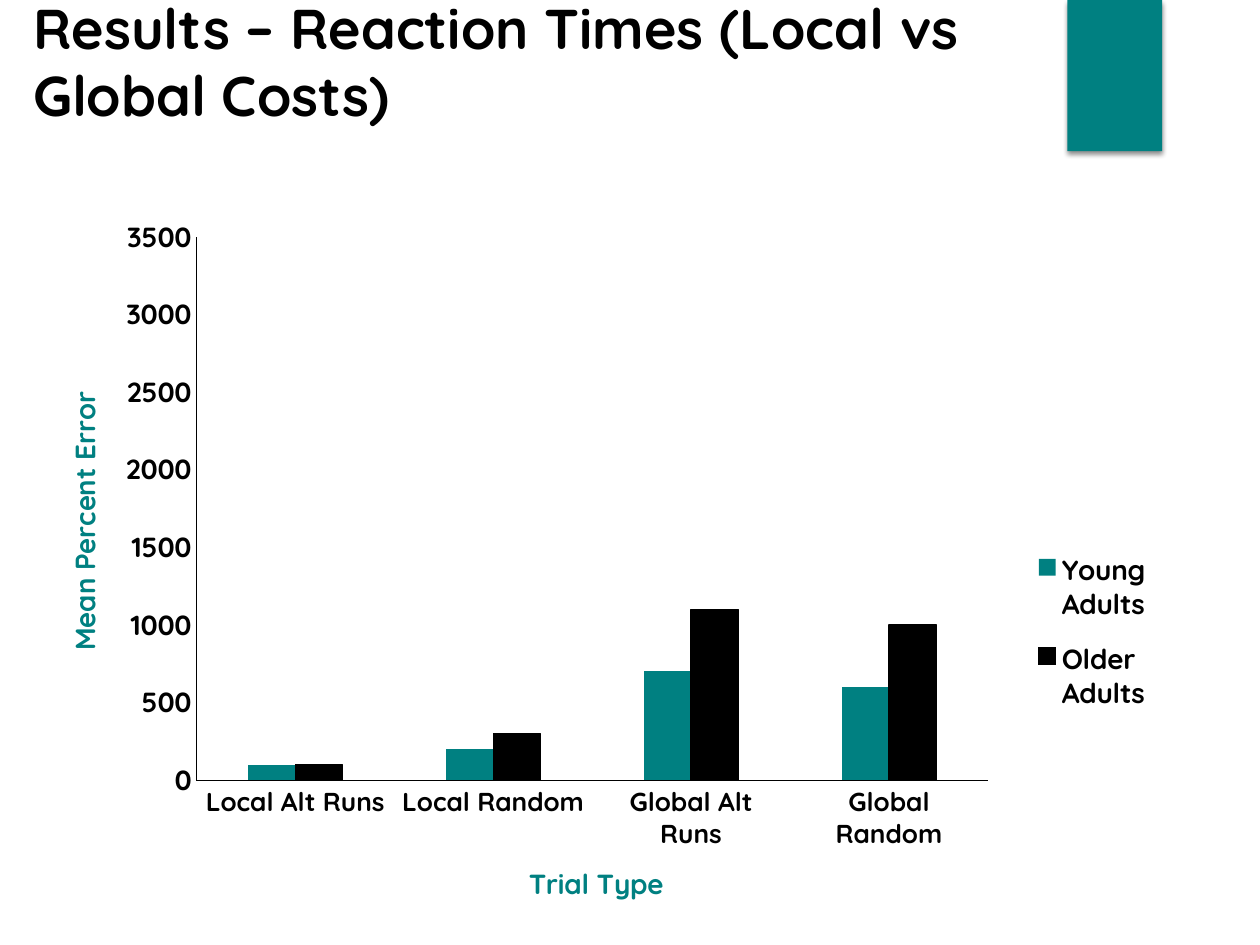
from pptx import Presentation
from pptx.chart.data import CategoryChartData
from pptx.dml.color import RGBColor
from pptx.enum.chart import XL_CHART_TYPE, XL_LEGEND_POSITION, XL_TICK_MARK
from pptx.enum.shapes import MSO_SHAPE
from pptx.enum.text import MSO_ANCHOR, MSO_AUTO_SIZE, PP_ALIGN
from pptx.oxml import parse_xml
from pptx.oxml.ns import nsdecls
from pptx.util import Cm, Pt

COLORS = {"teal": "008081", "black": "000000"}
FONT = "Quicksand"
CATEGORIES = ["Local Alt Runs", "Local Random", "Global Alt Runs", "Global Random"]
SERIES = [
    ("Young Adults", [100, 200, 700, 600], "teal"),
    ("Older Adults", [100, 300, 1100, 1000], "black"),
]


def color(name):
    return RGBColor.from_string(COLORS[name])


def set_values(target, values):
    for name, value in values.items():
        setattr(target, name, value)


def format_font(font, size, color_name="black", bold=True):
    set_values(font, {"name": FONT, "size": Pt(size), "bold": bold})
    font.color.rgb = color(color_name)


def format_line(line):
    line.color.rgb = color("black")
    line.width = Pt(0.75)


def place_part(parent, index, fractions, inner=False):
    for old in parent.xpath("c:layout"):
        parent.remove(old)
    target = '<c:layoutTarget val="inner"/>' if inner else ""
    modes = "".join(f'<c:{axis}Mode val="edge"/>' for axis in "xy")
    sizes = "".join(
        f'<c:{key} val="{value}"/>' for key, value in zip("xywh", fractions)
    )
    parent.insert(index, parse_xml(
        f'<c:layout {nsdecls("c")}><c:manualLayout>{target}{modes}{sizes}'
        "</c:manualLayout></c:layout>"
    ))


def add_title(slide, text):
    title = slide.shapes.title
    set_values(title, {
        "left": Cm(0.42), "top": Cm(0.23), "width": Cm(20.12), "height": Cm(1.98),
    })
    set_values(title.text_frame, {
        "text": text, "word_wrap": True,
        "auto_size": MSO_AUTO_SIZE.NONE, "vertical_anchor": MSO_ANCHOR.MIDDLE,
    })
    para = title.text_frame.paragraphs[0]
    set_values(para, {"alignment": PP_ALIGN.LEFT, "line_spacing": 1.0})
    format_font(para.runs[0].font, 32)


def add_accent(slide):
    box = slide.shapes.add_shape(
        MSO_SHAPE.RECTANGLE, Cm(21.52), Cm(0), Cm(1.91), Cm(3.05)
    )
    box.fill.solid()
    box.fill.fore_color.rgb = color("teal")
    box.line.fill.background()
    box.shadow.inherit = False
    effects = box.element.spPr.xpath("a:effectLst")[0]
    effects.append(parse_xml(
        f'<a:outerShdw {nsdecls("a")} blurRad="{Pt(3)}" dist="{Pt(2)}" '
        f'dir="5400000" rotWithShape="0"><a:srgbClr val="{COLORS["black"]}">'
        '<a:alpha val="45000"/></a:srgbClr></a:outerShdw>'
    ))


def format_axis(axis, title, size):
    set_values(axis, {
        "has_major_gridlines": False,
        "major_tick_mark": XL_TICK_MARK.NONE,
        "minor_tick_mark": XL_TICK_MARK.NONE,
    })
    format_font(axis.tick_labels.font, size)
    format_line(axis.format.line)
    frame = axis.axis_title.text_frame
    frame.text = title
    format_font(frame.paragraphs[0].runs[0].font, 16, "teal")


def add_reaction_chart(slide):
    data = CategoryChartData()
    data.categories = CATEGORIES
    for name, values, _ in SERIES:
        data.add_series(name, values)
    chart = slide.shapes.add_chart(
        XL_CHART_TYPE.COLUMN_CLUSTERED,
        Cm(0.74), Cm(3.84), Cm(22.83), Cm(14.5), data,
    ).chart
    set_values(chart, {"has_title": False, "has_legend": True})
    format_font(chart.font, 10, bold=False)

    plot = chart.plots[0]
    set_values(plot, {"gap_width": 219, "overlap": 0, "vary_by_categories": False})
    for series, (_, _, color_name) in zip(plot.series, SERIES):
        series.format.fill.solid()
        series.format.fill.fore_color.rgb = color(color_name)
    format_line(plot.series[1].format.line)

    format_axis(chart.category_axis, "Trial Type", 15)
    format_axis(chart.value_axis, "Mean Percent Error", 16)
    set_values(chart.value_axis, {
        "minimum_scale": 0, "maximum_scale": 3500, "major_unit": 500,
    })
    set_values(chart.legend, {
        "position": XL_LEGEND_POSITION.RIGHT, "include_in_layout": False,
    })
    format_font(chart.legend.font, 16)

    area = chart.element.xpath("c:chart/c:plotArea")[0]
    place_part(area, 0, (0.141, 0.065, 0.699, 0.764), inner=True)
    place_part(area.xpath("c:catAx/c:title")[0], 1, (0.43, 0.94))
    place_part(area.xpath("c:valAx/c:title")[0], 1, (0.02, 0.28))
    legend = chart.element.xpath("c:chart/c:legend")[0]
    place_part(legend, 1, (0.867, 0.48, 0.13, 0.28))


def main():
    deck = Presentation()
    set_values(deck, {"slide_width": Cm(25.4), "slide_height": Cm(19.05)})
    slide = deck.slides.add_slide(deck.slide_layouts[5])
    add_accent(slide)
    add_title(slide, "Results – Reaction Times (Local vs Global Costs)")
    add_reaction_chart(slide)
    deck.save("out.pptx")


if __name__ == "__main__":
    main()
